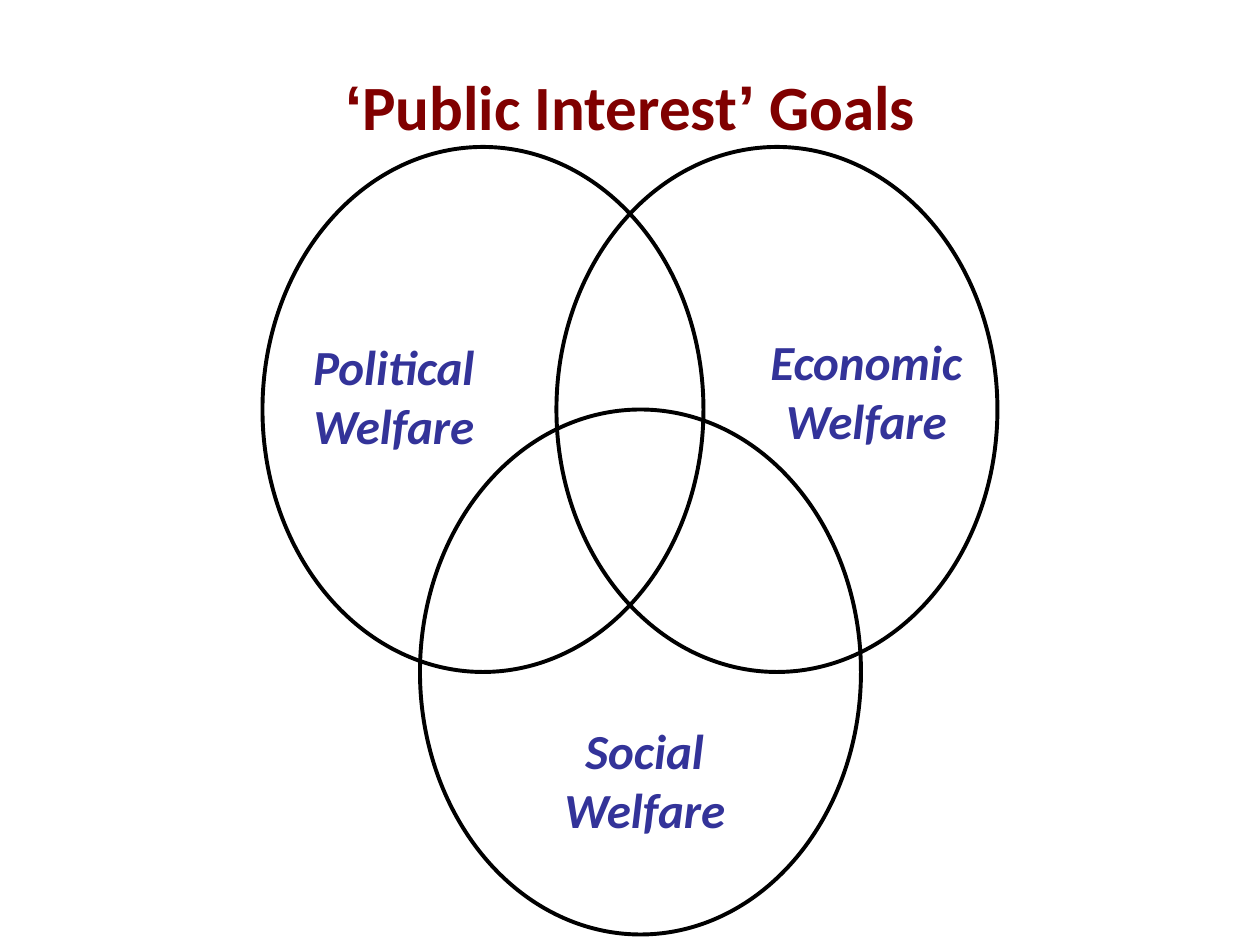
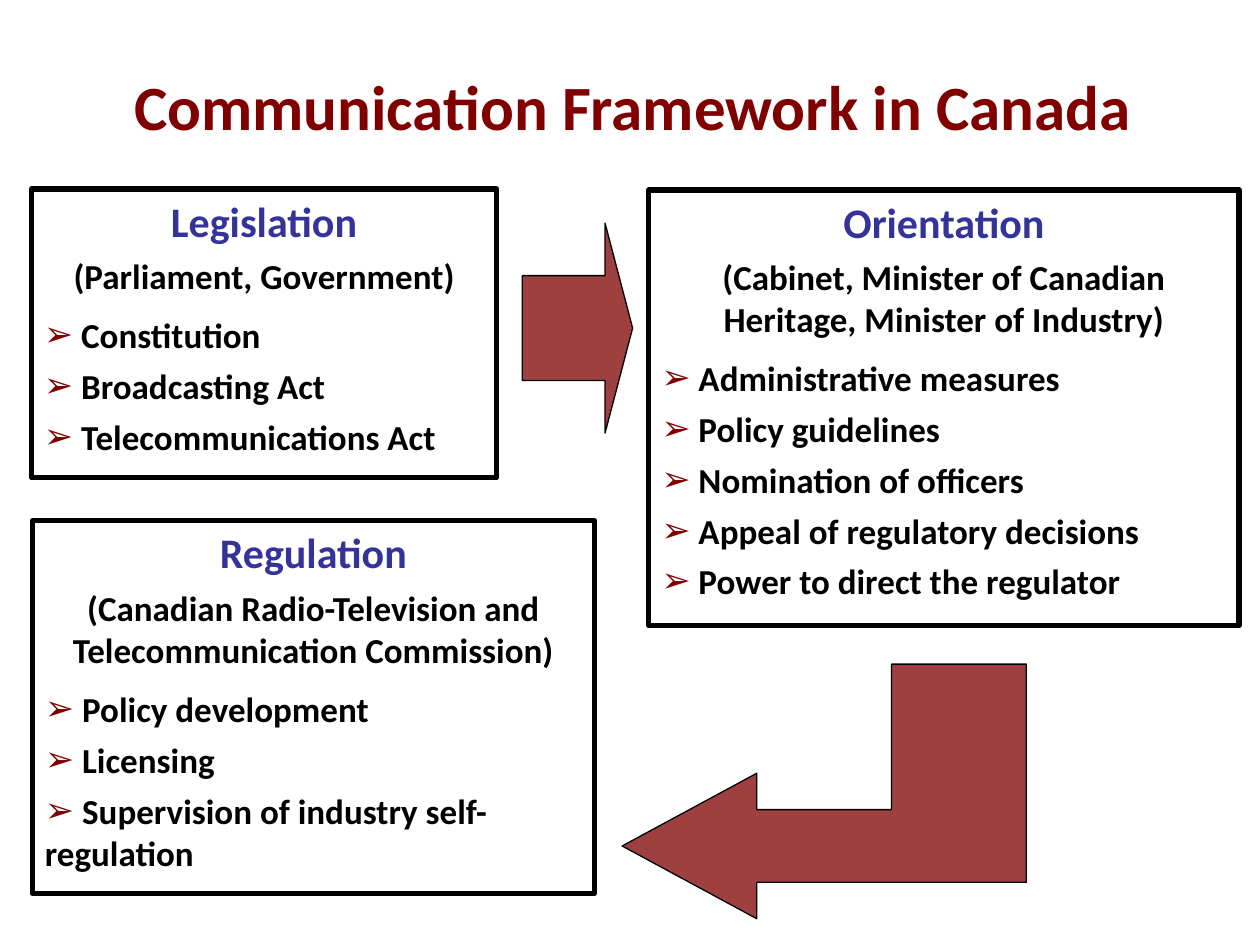
from dataclasses import dataclass

from lxml import etree
from pptx import Presentation
from pptx import util as u
from pptx.dml.color import RGBColor
from pptx.enum import shapes, text
from pptx.oxml import ns

COLS, ROWS = 120, 90


@dataclass(frozen=True)
class Theme:
    """Colours, fonts, type sizes and line widths shared by the slides."""
    ink: str = "000000"
    maroon: str = "800000"
    indigo: str = "333399"
    font: str = "Calibri"
    quote_font: str = "Arial"
    title: int = 36
    label: int = 28
    heading: int = 24
    body: int = 20
    ring: float = 2.25
    frame: float = 3
    thin: float = 0.75
    arrow_alpha: int = 75


THEME = Theme()


def cell(prs, x, y, w, h):
    """Turn a box in grid columns and rows into slide lengths."""
    dx, dy = prs.slide_width / COLS, prs.slide_height / ROWS
    return [u.Emu(round(v)) for v in (x * dx, y * dy, w * dx, h * dy)]


def add_run(p, words, size, color, font=THEME.font, italic=False):
    """Add one bold run to a paragraph."""
    r = p.add_run()
    r.text = words
    r.font.name, r.font.size = font, u.Pt(size)
    r.font.bold, r.font.italic = True, italic
    r.font.color.rgb = RGBColor.from_string(color)


def style(sp, width, fill=None):
    """Give a shape a black outline and an optional translucent fill."""
    sp.shadow.inherit = False
    sp.line.color.rgb = RGBColor.from_string(THEME.ink)
    sp.line.width = u.Pt(width)
    if fill is None:
        sp.fill.background()
        return
    sp.fill.solid()
    sp.fill.fore_color.rgb = RGBColor.from_string(fill)
    color = sp._element.spPr.find(ns.qn("a:solidFill"))[0]
    etree.SubElement(color, ns.qn("a:alpha"), val=str(THEME.arrow_alpha * 1000))


def add_text_box(s, box):
    """Add a wrapping text box and return its frame and centred paragraph."""
    tf = s.shapes.add_textbox(*box).text_frame
    tf.word_wrap = True
    p = tf.paragraphs[0]
    p.alignment = text.PP_ALIGN.CENTER
    return tf, p


def add_title(s, box, parts):
    """Add the slide title from pairs of words and font."""
    tf, p = add_text_box(s, box)
    tf.vertical_anchor = text.MSO_ANCHOR.MIDDLE
    for words, font in parts:
        add_run(p, words, THEME.title, THEME.maroon, font)


def add_label(s, box, words):
    """Add an italic label of a goal."""
    _, p = add_text_box(s, box)
    add_run(p, words, THEME.label, THEME.indigo, italic=True)


def add_bullet(p):
    """Mark a paragraph with a maroon arrowhead bullet."""
    pPr = p._p.get_or_add_pPr()
    pPr.set("marL", "0")
    pPr.set("indent", "0")
    color = etree.SubElement(pPr, ns.qn("a:buClr"))
    etree.SubElement(color, ns.qn("a:srgbClr"), val=THEME.maroon)
    etree.SubElement(pPr, ns.qn("a:buFont"), typeface=THEME.quote_font)
    etree.SubElement(pPr, ns.qn("a:buChar"), char="➢")


def add_stage(s, box, heading, bodies, tasks):
    """Add a framed stage: heading, responsible bodies and bulleted tasks."""
    sp = s.shapes.add_shape(shapes.MSO_SHAPE.RECTANGLE, *box)
    style(sp, THEME.frame)
    tf = sp.text_frame
    tf.word_wrap = True
    tf.vertical_anchor = text.MSO_ANCHOR.TOP
    p = tf.paragraphs[0]
    p.alignment = text.PP_ALIGN.CENTER
    add_run(p, heading, THEME.heading, THEME.indigo)
    p = tf.add_paragraph()
    p.alignment, p.space_before = text.PP_ALIGN.CENTER, u.Pt(5)
    add_run(p, bodies, THEME.body, THEME.ink)
    for i, task in enumerate(tasks):
        p = tf.add_paragraph()
        p.alignment = text.PP_ALIGN.LEFT
        p.space_before = u.Pt(5 if i else 10)
        add_bullet(p)
        add_run(p, " " + task, THEME.body, THEME.ink)


def add_right_arrow(s, box):
    """Add the block arrow pointing right."""
    sp = s.shapes.add_shape(shapes.MSO_SHAPE.RIGHT_ARROW, *box)
    sp.adjustments[0], sp.adjustments[1] = 0.5, 0.25
    style(sp, THEME.thin, THEME.maroon)


def add_bent_arrow(s, box):
    """Add the arrow that drops and turns left, on thirds by sevenths."""
    x, y, w, h = box
    steps = [(0, 5), (1, 3), (1, 4), (2, 4), (2, 0), (3, 0), (3, 6), (1, 6), (1, 7)]
    points = [(x + w * i / 3, y + h * j / 7) for i, j in steps]
    outline = s.shapes.build_freeform(*points[0])
    outline.add_line_segments(points[1:], close=True)
    style(outline.convert_to_shape(), THEME.thin, THEME.maroon)


def goals_slide(prs):
    """Build the slide of three overlapping welfare goals."""
    s = prs.slides.add_slide(prs.slide_layouts[6])
    add_title(s, cell(prs, 9, 6, 102, 8), [
        ("‘", THEME.quote_font), ("Public Interest", THEME.font),
        ("’", THEME.quote_font), (" Goals", THEME.font)])
    for x, y in ((25, 14), (53, 14), (40, 39)):
        sp = s.shapes.add_shape(shapes.MSO_SHAPE.OVAL, *cell(prs, x, y, 42, 50))
        style(sp, THEME.ring)
    for goal, x, y, w in (("Political", 28, 31.5, 19),
                          ("Economic", 72, 31, 21),
                          ("Social", 51.9, 68, 19)):
        add_label(s, cell(prs, x, y, w, 12.4), goal + " Welfare")


def framework_slide(prs):
    """Build the slide of three stages joined by block arrows."""
    s = prs.slides.add_slide(prs.slide_layouts[6])
    add_title(s, cell(prs, 4, 6, 112.5, 8),
              [("Communication Framework in Canada", THEME.font)])
    add_stage(s, cell(prs, 3, 18, 44.3, 27.5), "Legislation",
              "(Parliament, Government)",
              ["Constitution", "Broadcasting Act", "Telecommunications Act"])
    add_right_arrow(s, cell(prs, 49.75, 21.25, 10.5, 20))
    add_stage(s, cell(prs, 61.8, 18.1, 56.2, 41.5), "Orientation",
              "(Cabinet, Minister of Canadian Heritage, Minister of Industry)",
              ["Administrative measures", "Policy guidelines",
               "Nomination of officers", "Appeal of regulatory decisions",
               "Power to direct the regulator"])
    add_stage(s, cell(prs, 3.1, 49.6, 53.5, 35.5), "Regulation",
              "(Canadian Radio-Television and Telecommunication Commission)",
              ["Policy development", "Licensing",
               "Supervision of industry self-regulation"])
    add_bent_arrow(s, cell(prs, 59.25, 63.25, 38.5, 24.25))


def main():
    """Build and save the presentation."""
    prs = Presentation()
    prs.slide_width, prs.slide_height = u.Inches(10), u.Inches(7.5)
    goals_slide(prs)
    framework_slide(prs)
    prs.save("out.pptx")


if __name__ == "__main__":
    main()
